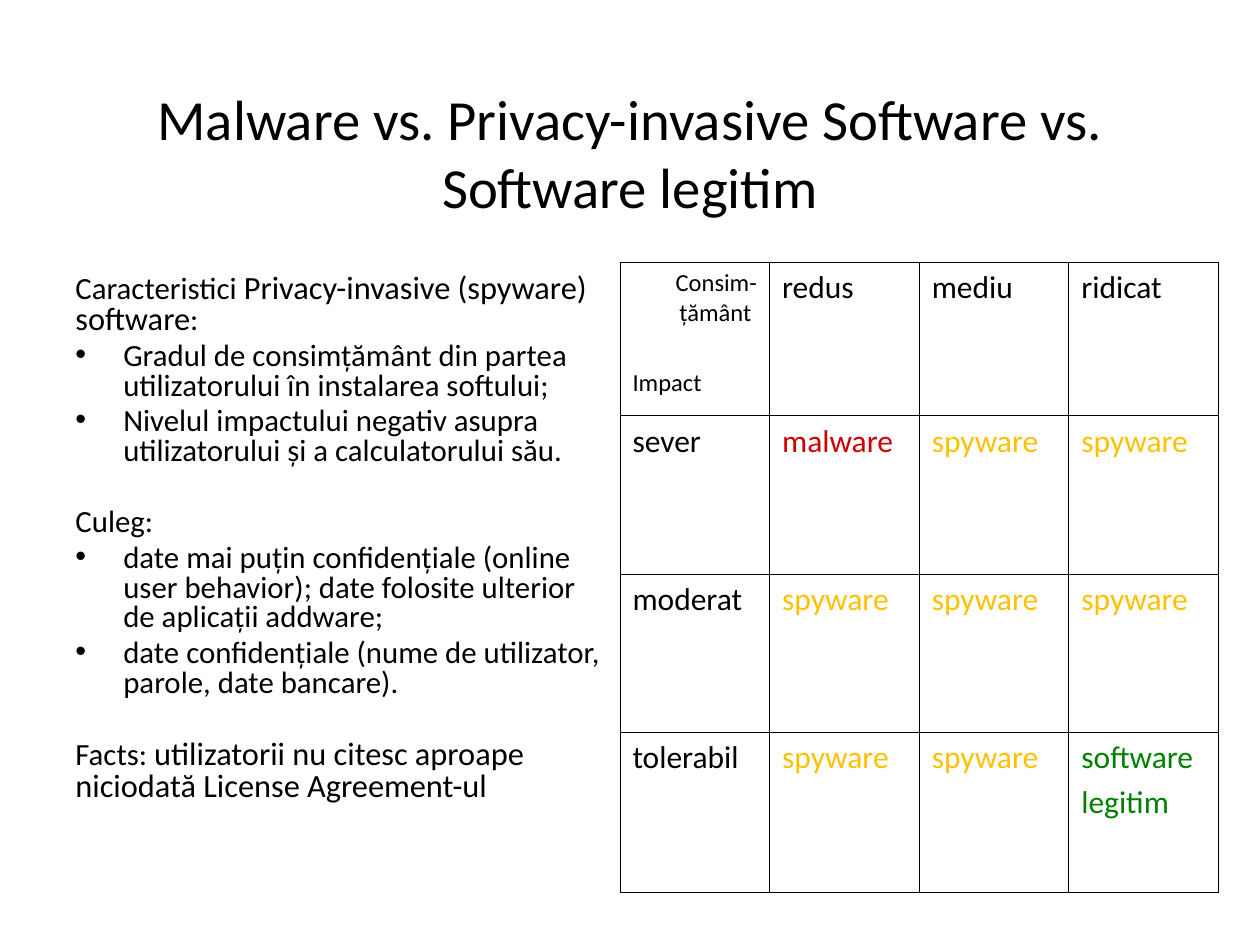
from lxml.etree import SubElement
from pptx import Presentation
from pptx.dml.color import RGBColor
from pptx.enum.text import MSO_ANCHOR as Anchor, PP_ALIGN as Align
from pptx.oxml.ns import qn
from pptx.util import Inches, Pt

FONT = "Calibri"
COLORS = {"ink": "000000", "paper": "FFFFFF", "malware": "CC0000",
          "spyware": "FFC000", "legit": "008000"}
SMALL, LARGE = 17.6, 18.5
BLANK_LINE = 24

TRAITS = [("Caracteristici ", SMALL), ("Privacy-invasive (spyware) software", LARGE),
          (":", SMALL)]
FACTS = [("Facts: ", SMALL),
         ("utilizatorii nu citesc aproape niciodată License Agreement-ul", LARGE)]
SECTIONS = [
    (TRAITS, ["Gradul de consimțământ din partea utilizatorului în instalarea softului;",
              "Nivelul impactului negativ asupra utilizatorului și a calculatorului său."]),
    ([("Culeg:", SMALL)],
     ["date mai puțin confidențiale (online user behavior); "
      "date folosite ulterior de aplicații addware;",
      "date confidențiale (nume de utilizator, parole, date bancare)."]),
    (FACTS, []),
]
CONSENT = ["redus", "mediu", "ridicat"]
IMPACT = {
    "sever": ["malware", "spyware", "spyware"],
    "moderat": ["spyware", "spyware", "spyware"],
    "tolerabil": ["spyware", "spyware", "legit"],
}
LABELS = {"legit": ["software", "legitim"]}
ROW_HEIGHTS = [1.22, 1.26, 1.25, 1.27]


def style(paragraph, size, color="ink", before=None):
    font = paragraph.font
    font.name, font.size = FONT, Pt(size)
    font.color.rgb = RGBColor.from_string(COLORS[color])
    paragraph.space_before = Pt(0.2 * size if before is None else before)


def next_paragraph(frame):
    first = frame.paragraphs[0]
    return frame.add_paragraph() if first.runs else first


def add_frame(slide, box):
    frame = slide.shapes.add_textbox(*map(Inches, box)).text_frame
    frame.word_wrap = True
    return frame


def add_bullet(paragraph, indent):
    props = paragraph._p.get_or_add_pPr()
    props.set("marL", str(indent))
    props.set("indent", str(-indent))
    SubElement(props, qn("a:buFont"), typeface="Arial")
    SubElement(props, qn("a:buChar"), char="•")


def add_title(slide, box):
    frame = add_frame(slide, box)
    frame.vertical_anchor = Anchor.MIDDLE
    title = frame.paragraphs[0]
    title.add_run().text = "Malware vs. Privacy-invasive Software vs. Software legitim"
    title.alignment = Align.CENTER
    style(title, 32.4, before=0)


def add_sections(slide, box):
    frame = add_frame(slide, box)
    for number, (heading, bullets) in enumerate(SECTIONS):
        lead = next_paragraph(frame)
        for words, size in heading:
            run = lead.add_run()
            run.text, run.font.size = words, Pt(size)
        style(lead, SMALL, before=BLANK_LINE if number else None)
        lead.line_spacing = 0.8
        for words in bullets:
            item = next_paragraph(frame)
            item.add_run().text = words
            style(item, SMALL)
            item.line_spacing = 0.8
            add_bullet(item, Inches(0.38))


def add_borders(cell):
    props = cell._tc.get_or_add_tcPr()
    for side in ("lnL", "lnR", "lnT", "lnB"):
        line = SubElement(props, qn(f"a:{side}"), w=str(Pt(0.5)))
        fill = SubElement(line, qn("a:solidFill"))
        SubElement(fill, qn("a:srgbClr"), val=COLORS["ink"])


def fill_cell(cell, lines, color="ink"):
    for words in lines:
        label = next_paragraph(cell.text_frame)
        label.add_run().text = words
        style(label, 18, color)


def fill_corner(cell):
    consent = next_paragraph(cell.text_frame)
    consent.add_run().text = "Consim-țământ "
    consent.alignment = Align.RIGHT
    style(consent, 14)
    impact = next_paragraph(cell.text_frame)
    impact.add_run().text = "Impact"
    style(impact, 14, before=23)


def add_matrix(slide, box):
    columns = len(CONSENT) + 1
    table = slide.shapes.add_table(len(ROW_HEIGHTS), columns, *map(Inches, box)).table
    table.first_row = table.horz_banding = False
    for column in table.columns:
        column.width = Inches(box[2] / columns)
    for row, height in zip(table.rows, ROW_HEIGHTS):
        row.height = Inches(box[3] * height / sum(ROW_HEIGHTS))
    for cell in table.iter_cells():
        add_borders(cell)
        cell.fill.solid()
        cell.fill.fore_color.rgb = RGBColor.from_string(COLORS["paper"])
    fill_corner(table.cell(0, 0))
    for col, level in enumerate(CONSENT, 1):
        fill_cell(table.cell(0, col), [level])
    for row, (level, kinds) in enumerate(IMPACT.items(), 1):
        fill_cell(table.cell(row, 0), [level])
        for col, kind in enumerate(kinds, 1):
            fill_cell(table.cell(row, col), LABELS.get(kind, [kind]), kind)


def main():
    deck = Presentation()
    deck.slide_width, deck.slide_height = Inches(10), Inches(7.5)
    slide = deck.slides.add_slide(deck.slide_layouts[6])
    margin, middle = 0.5, 4.92
    add_title(slide, (margin, 0.58, 10 - 2 * margin, 1.25))
    add_sections(slide, (margin, 2.13, middle - margin, 4.7))
    add_matrix(slide, (middle, 2.08, 4.75, 5))
    deck.save("out.pptx")


if __name__ == "__main__":
    main()
